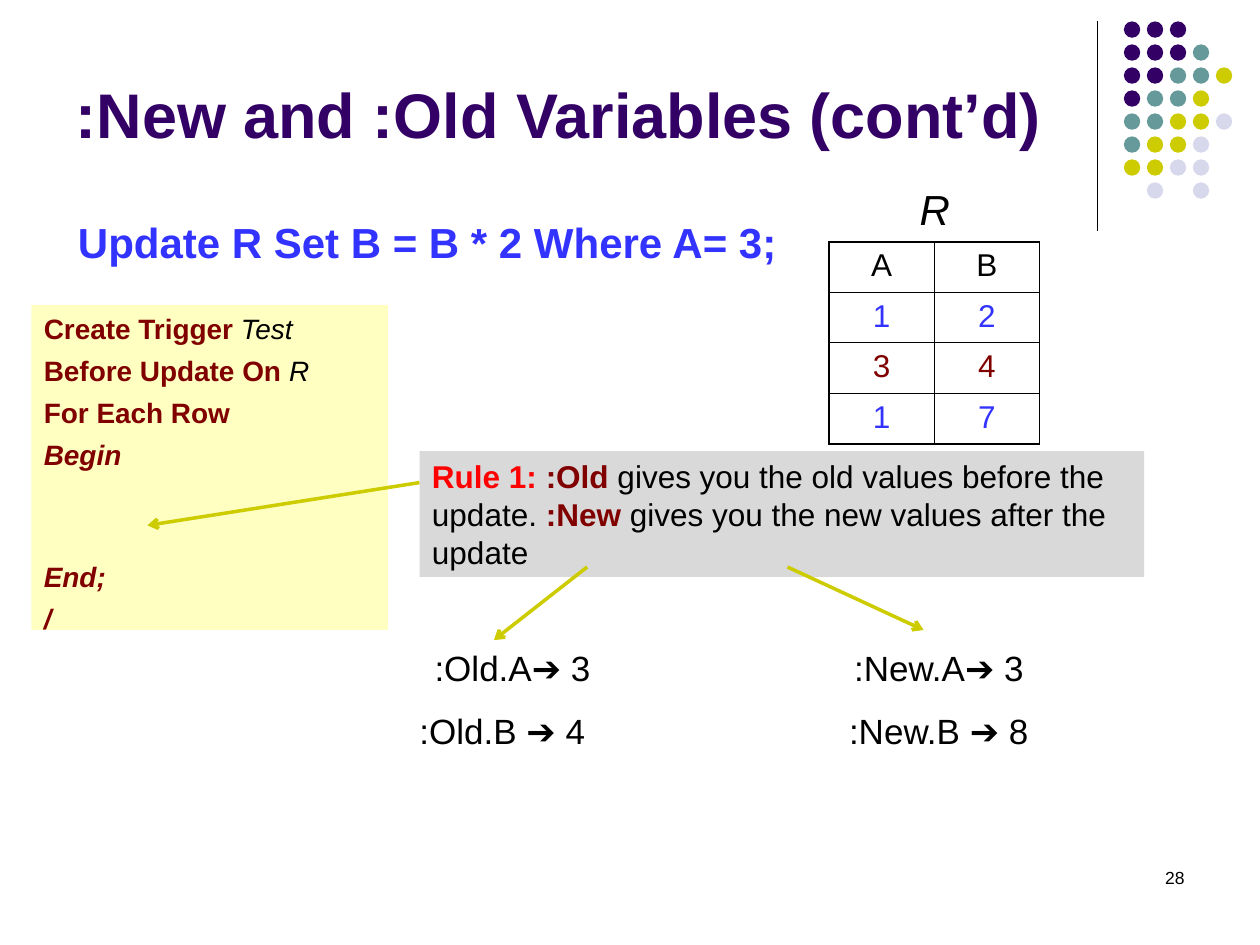
import pptx
import pptx.dml.color
import pptx.enum.shapes
import pptx.enum.text
import pptx.oxml
import pptx.oxml.ns
import pptx.util
from pptx.util import Inches

FONT = "Arial"
BLACK, BLUE, MAROON, RED = "000000", "3333FF", "800000", "FF0000"
PURPLE, TEAL, OLIVE, LAVENDER = "330066", "669999", "CCCC00", "D8D8EC"
ALIGN = pptx.enum.text.PP_ALIGN
SHAPE = pptx.enum.shapes.MSO_SHAPE

DOT_COLORS = {"P": PURPLE, "T": TEAL, "Y": OLIVE, "L": LAVENDER}
DOT_ROWS = ["PPP", "PPPT", "PPTTY", "PTTY", "TTYYL", "TYYL", "YYLL", " L L"]

TABLE_ROWS = [("A", "B", BLACK), ("1", "2", BLUE), ("3", "4", MAROON), ("1", "7", BLUE)]

# Each line: space before in points, then runs of (text, colour, style)
TRIGGER_LINES = [
    (0, [("Create Trigger ", MAROON, "b"), ("Test", BLACK, "i")]),
    (4.8, [("Before Update On ", MAROON, "b"), ("R", BLACK, "i")]),
    (4.8, [("For Each Row", MAROON, "b")]),
    (4.8, [("Begin", MAROON, "bi")]),
    (51, [("End;", MAROON, "bi")]),
    (4.8, [("/", MAROON, "bi")]),
]
RULE_LINES = [
    (0, [("Rule 1: ", RED, "b"), (":Old", MAROON, "b"),
         (" gives you the old values before the update. ", BLACK, ""),
         (":New ", MAROON, "b"),
         ("gives you the new values after the update", BLACK, "")]),
]


def rgb(color):
    return pptx.dml.color.RGBColor.from_string(color)


def set_font(font, size, color, style=""):
    """Style holds "b" for bold and "i" for italic."""
    font.name = FONT
    font.size = pptx.util.Pt(size)
    font.color.rgb = rgb(color)
    font.bold = "b" in style
    font.italic = "i" in style


def add_title(slide, text):
    sp = slide.shapes.title
    sp.left, sp.top, sp.width, sp.height = map(Inches, (0.5, 0.13, 8.25, 1.12))
    tf = sp.text_frame
    tf.text = text
    tf.auto_size = pptx.enum.text.MSO_AUTO_SIZE.NONE
    tf.vertical_anchor = pptx.enum.text.MSO_ANCHOR.BOTTOM
    p = tf.paragraphs[0]
    p.alignment = ALIGN.LEFT
    set_font(p.font, 36, PURPLE, "b")


def add_label(slide, box, text, size, color=BLACK, style="", align=ALIGN.LEFT):
    tf = slide.shapes.add_textbox(*map(Inches, box)).text_frame
    tf.word_wrap = False
    p = tf.paragraphs[0]
    p.text = text
    p.alignment = align
    set_font(p.font, size, color, style)


def add_filled(slide, kind, box, fill):
    sp = slide.shapes.add_shape(kind, *map(Inches, box))
    sp.shadow.inherit = False
    sp.fill.solid()
    sp.fill.fore_color.rgb = rgb(fill)
    sp.line.fill.background()
    return sp


def add_panel(slide, box, fill, size, lines):
    tf = add_filled(slide, SHAPE.RECTANGLE, box, fill).text_frame
    tf.word_wrap = True
    tf.vertical_anchor = pptx.enum.text.MSO_ANCHOR.TOP
    for i, (space, runs) in enumerate(lines):
        p = tf.add_paragraph() if i else tf.paragraphs[0]
        p.alignment = ALIGN.LEFT
        p.space_before = pptx.util.Pt(space)
        for text, color, style in runs:
            r = p.add_run()
            r.text = text
            set_font(r.font, size, color, style)


def add_line(slide, start, end, color, width, arrow=False):
    line = slide.shapes.add_connector(
        pptx.enum.shapes.MSO_CONNECTOR.STRAIGHT, *map(Inches, start + end))
    line.line.color.rgb = rgb(color)
    line.line.width = pptx.util.Pt(width)
    if arrow:
        tail = pptx.oxml.parse_xml(
            f'<a:tailEnd {pptx.oxml.ns.nsdecls("a")} type="arrow"/>')
        line.line._get_or_add_ln().append(tail)
    effects = pptx.oxml.parse_xml(f'<a:effectLst {pptx.oxml.ns.nsdecls("a")}/>')
    line._element.spPr.append(effects)


def add_dots(slide):
    pitch = 0.73 / 4
    for row, dots in enumerate(DOT_ROWS):
        for col, key in enumerate(dots):
            if key in DOT_COLORS:
                box = (8.92 + col * pitch, 0.17 + row * pitch, 0.13, 0.13)
                add_filled(slide, SHAPE.OVAL, box, DOT_COLORS[key])


def set_borders(cell, widths):
    """Widths in points, in the order left, right, top, bottom."""
    for i, (side, width) in enumerate(zip("LRTB", widths)):
        ln = pptx.oxml.parse_xml(
            f'<a:ln{side} {pptx.oxml.ns.nsdecls("a")} w="{pptx.util.Pt(width)}">'
            f'<a:solidFill><a:srgbClr val="{BLACK}"/></a:solidFill></a:ln{side}>')
        cell._tc.get_or_add_tcPr().insert(i, ln)


def add_relation(slide):
    outer, inner = 1.08, 0.45
    last = len(TABLE_ROWS) - 1
    table = slide.shapes.add_table(
        len(TABLE_ROWS), 2, *map(Inches, (6.58, 1.92, 1.67, 1.6))).table
    table.first_row = table.horz_banding = False
    for row, (*values, color) in enumerate(TABLE_ROWS):
        for col, value in enumerate(values):
            cell = table.cell(row, col)
            cell.fill.background()
            edges = (col == 0, col == 1, row == 0, row == last)
            set_borders(cell, [outer if edge else inner for edge in edges])
            p = cell.text_frame.paragraphs[0]
            p.text = value
            p.alignment = ALIGN.CENTER
            set_font(p.font, 18, color)


def main():
    prs = pptx.Presentation()
    prs.slide_width, prs.slide_height = Inches(10), Inches(7.5)
    slide = prs.slides.add_slide(prs.slide_layouts[5])

    add_line(slide, (8.71, 0.17), (8.71, 1.83), BLACK, 0.75)
    add_dots(slide)
    add_title(slide, ":New and :Old Variables (cont’d)")
    add_label(slide, (7.17, 6.83, 2.33, 0.5), "28", 10, align=ALIGN.RIGHT)

    add_relation(slide)
    add_label(slide, (7.2, 1.41, 0.44, 0.5), "R", 24, style="i")
    add_label(slide, (0.52, 1.67, 5.75, 0.5),
              "Update R Set B = B * 2 Where A= 3;", 24, BLUE, "b")

    add_panel(slide, (0.25, 2.42, 2.83, 2.58), "FFFFC2", 16, TRIGGER_LINES)
    add_line(slide, (3.33, 3.83), (1.17, 4.17), OLIVE, 2, arrow=True)
    add_panel(slide, (3.33, 3.58, 5.75, 1), "D9D9D9", 18, RULE_LINES)

    add_line(slide, (4.66, 4.5), (3.92, 5.08), OLIVE, 2, arrow=True)
    add_line(slide, (6.25, 4.5), (7.33, 5), OLIVE, 2, arrow=True)
    for left, top, width, text in [
        (3.35, 5.08, 1.48, ":Old.A➔ 3"),
        (3.23, 5.58, 1.64, ":Old.B ➔ 4"),
        (6.68, 5.08, 1.61, ":New.A➔ 3"),
        (6.64, 5.58, 1.76, ":New.B ➔ 8"),
    ]:
        add_label(slide, (left, top, width, 0.44), text, 20)

    prs.save("out.pptx")


if __name__ == "__main__":
    main()
